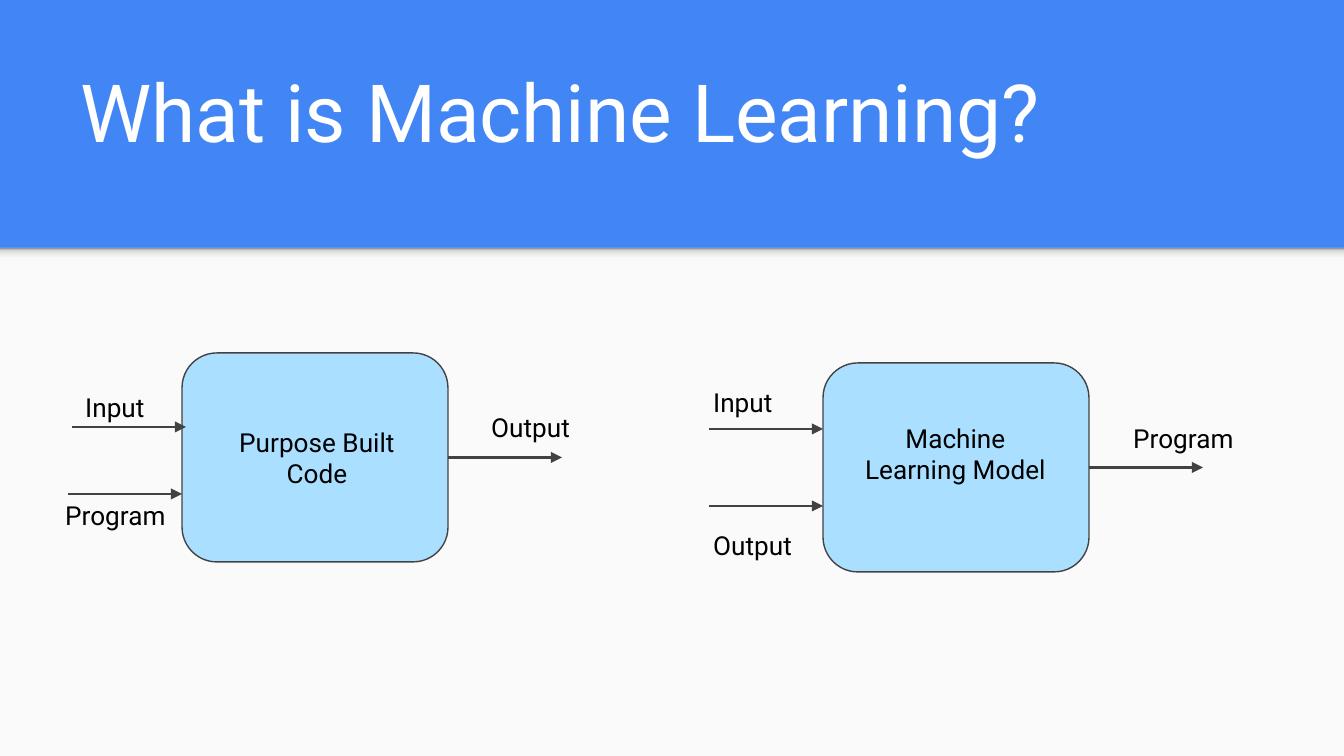
from copy import deepcopy

from pptx import Presentation
from pptx.dml.color import RGBColor
from pptx.enum.shapes import MSO_CONNECTOR, MSO_SHAPE
from pptx.enum.text import MSO_ANCHOR, MSO_AUTO_SIZE, PP_ALIGN
from pptx.oxml.ns import qn
from pptx.util import Inches, Pt
from lxml import etree

STRAIGHT = MSO_CONNECTOR.STRAIGHT
RECTANGLE = MSO_SHAPE.RECTANGLE
PROCESS = MSO_SHAPE.FLOWCHART_ALTERNATE_PROCESS
LEFT, CENTER = PP_ALIGN.LEFT, PP_ALIGN.CENTER
TOP, BOTTOM = MSO_ANCHOR.TOP, MSO_ANCHOR.BOTTOM
NO_FIT, GROW = MSO_AUTO_SIZE.NONE, MSO_AUTO_SIZE.SHAPE_TO_FIT_TEXT

PX = Inches(10) / 1344
RIGHT_SIDE = 3
COLORS = {name: RGBColor.from_string(value) for name, value in {
    "header": "4285F4", "body": "FAFAFA", "box": "AADFFF",
    "line": "424242", "text": "000000", "title": "FFFFFF",
}.items()}
SHADOW_STOPS = [(0, "F9F9F9"), (0.36, "F9F9F9"), (0.8, "DEDEDE"), (1, "999999")]


def px(*lengths):
    return [round(length * PX) for length in lengths]


def write(box, text, size, color, align, anchor, fit):
    frame = box.text_frame
    frame.text = text
    frame_format = {"word_wrap": True, "auto_size": fit, "vertical_anchor": anchor}
    for side in ("left", "top", "right", "bottom"):
        frame_format["margin_" + side] = Inches(0.1)
    for name, value in frame_format.items():
        setattr(frame, name, value)
    para = frame.paragraphs[0]
    para.alignment = align
    for name, value in {"name": "Roboto", "size": Pt(size)}.items():
        setattr(para.runs[0].font, name, value)
    para.runs[0].font.color.rgb = COLORS[color]


deck = Presentation()
deck.slide_width, deck.slide_height = px(1344, 756)
page = deck.slides.add_slide(deck.slide_layouts[5])
shapes = page.shapes
title = shapes.title

# Blue header as background, pale body below it
page.background.fill.solid()
page.background.fill.fore_color.rgb = COLORS["header"]
body = shapes.add_shape(RECTANGLE, *px(0, 248, 1344, 508))
body.fill.solid()
body.fill.fore_color.rgb = COLORS["body"]

# Soft shadow under the header
shade = shapes.add_shape(RECTANGLE, *px(0, 248, 1344, 16))
shade.fill.gradient()
shade.fill.gradient_angle = 90
stop_list = shade.element.spPr.find(".//" + qn("a:gsLst"))
while len(stop_list) < len(SHADOW_STOPS):
    stop_list.append(deepcopy(stop_list[0]))
for stop, (position, color) in zip(shade.fill.gradient_stops, SHADOW_STOPS):
    stop.position = position
    stop.color.rgb = RGBColor.from_string(color)

for panel in (body, shade):
    panel.line.fill.background()
    panel.shadow.inherit = False

# Title
title.left, title.top, title.width, title.height = px(67, 71, 1208, 101)
write(title, "What is Machine Learning?", 43, "title", LEFT, BOTTOM, NO_FIT)

# Process boxes, each with an arrow leaving the middle of its right side
arrows = []
for left, top in [(182, 353), (823, 363)]:
    box = shapes.add_shape(PROCESS, *px(left, top, 266, 209))
    box.fill.solid()
    box.fill.fore_color.rgb = COLORS["box"]
    box.line.color.rgb = COLORS["line"]
    box.line.width = Pt(0.75)
    box.shadow.inherit = False
    middle = top + 104.5
    arrow = shapes.add_connector(STRAIGHT, *px(left + 266, middle, left + 380, middle))
    arrow.begin_connect(box, RIGHT_SIDE)
    arrows.append(arrow)

# Arrows entering the boxes
for left, y in [(72, 427), (68, 494), (709, 429), (709, 506)]:
    arrows.append(shapes.add_connector(STRAIGHT, *px(left, y, left + 114, y)))

for arrow in arrows:
    arrow.line.color.rgb = COLORS["line"]
    arrow.line.width = Pt(1.5)
    etree.SubElement(arrow.line._get_or_add_ln(), qn("a:tailEnd"), type="triangle")
    etree.SubElement(arrow.element.spPr, qn("a:effectLst"))

# Labels on the arrows and in the boxes
labels = [
    ("Input", 72, 378, 174, 59, LEFT),
    ("Program", 52, 486, 174, 59, LEFT),
    ("Output", 478, 398, 174, 59, LEFT),
    ("Input", 700, 373, 114, 59, LEFT),
    ("Output", 700, 516, 174, 59, LEFT),
    ("Program", 1120, 409, 174, 59, LEFT),
    ("Purpose Built Code", 207, 413, 220, 90, CENTER),
    ("Machine Learning Model", 850, 409, 211, 90, CENTER),
]
for text, left, top, width, height, align in labels:
    label = shapes.add_textbox(*px(left, top, width, height))
    write(label, text, 14, "text", align, TOP, GROW)

deck.save("out.pptx")
